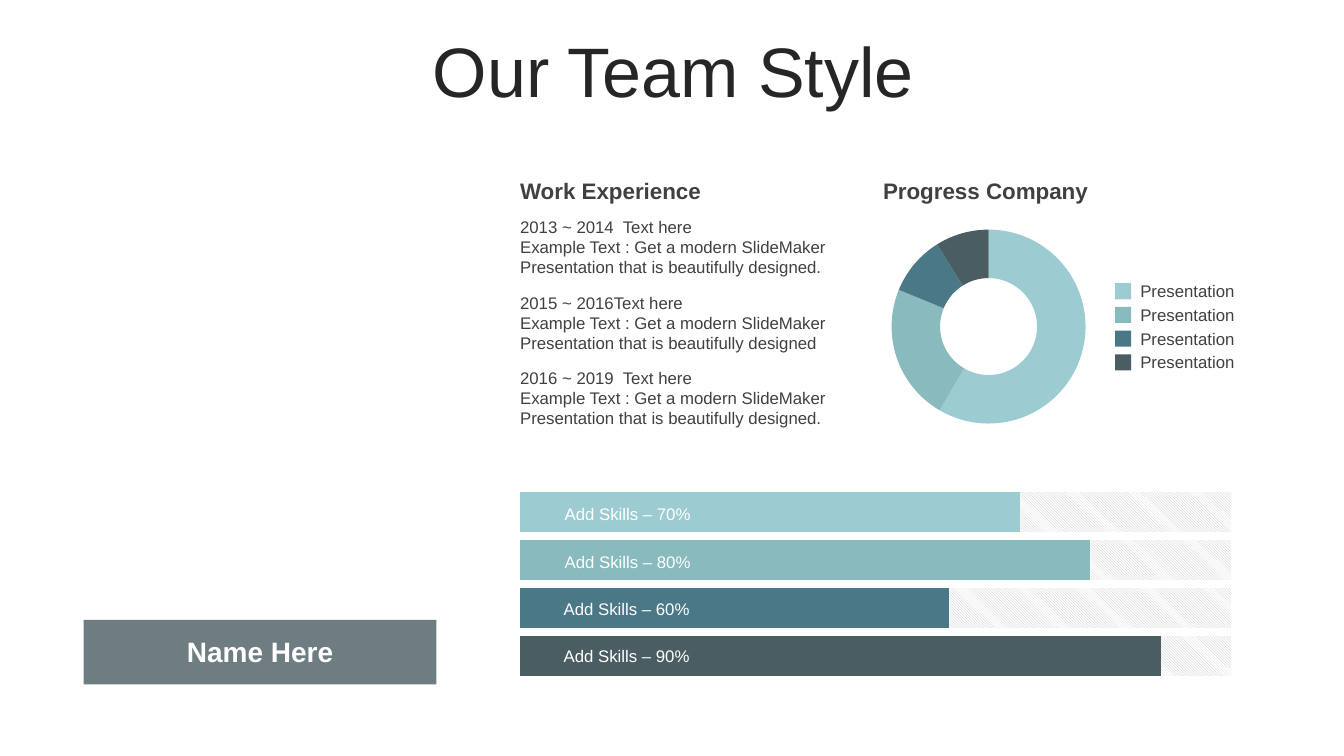
from pptx import Presentation
from pptx import util as u
from pptx.chart import data as chart_data
from pptx.dml.color import RGBColor
from pptx.enum import chart, dml, shapes, text
from pptx.oxml import parse_xml
from pptx.oxml.ns import nsdecls, qn

AQUA = RGBColor(0x9C, 0xCC, 0xD2)
SAGE = RGBColor(0x88, 0xBA, 0xBE)
TEAL = RGBColor(0x4A, 0x78, 0x86)
SLATE = RGBColor(0x4A, 0x5D, 0x62)
INK = RGBColor(0x26, 0x26, 0x26)
GRAY = RGBColor(0x40, 0x40, 0x40)
SILVER = RGBColor(0xBF, 0xBF, 0xBF)
WHITE = RGBColor(0xFF, 0xFF, 0xFF)
PALETTE = [AQUA, SAGE, TEAL, SLATE]
CATEGORIES = ["1", "2", "3", "4"]


class TeamPage:
    """Draws the elements of a team page in one shared style."""

    font = "Arial"

    def __init__(self, deck):
        self.page = deck.slides.add_slide(deck.slide_layouts[6])

    def label(self, at, lines, size=12, color=GRAY, bold=False, align=None,
              anchor=text.MSO_ANCHOR.TOP, inset=(0.1, 0.05), spacing=None, grow=False):
        frame = self.page.shapes.add_textbox(*map(u.Inches, at)).text_frame
        frame.word_wrap = True
        frame.vertical_anchor = anchor
        frame.margin_left = frame.margin_right = u.Inches(inset[0])
        frame.margin_top = frame.margin_bottom = u.Inches(inset[1])
        if grow:
            frame.auto_size = text.MSO_AUTO_SIZE.SHAPE_TO_FIT_TEXT
        frame.text = "\n".join(lines)
        for para in frame.paragraphs:
            para.alignment = align
            para.line_spacing = spacing
            para.font.name = self.font
            para.font.size = u.Pt(size)
            para.font.bold = bold
            para.font.color.rgb = color

    def block(self, at, color, opacity=100):
        box = self.page.shapes.add_shape(shapes.MSO_SHAPE.RECTANGLE, *map(u.Inches, at))
        box.shadow.inherit = False
        box.fill.solid()
        box.fill.fore_color.rgb = color
        box.line.fill.background()
        if opacity < 100:
            shade = box.fill._xPr.find(qn("a:solidFill"))[0]
            shade.append(parse_xml(f'<a:alpha {nsdecls("a")} val="{opacity * 1000}"/>'))

    def chart(self, at, kind, series, colors, size):
        table = chart_data.CategoryChartData()
        table.categories = CATEGORIES
        for name, values in series.items():
            table.add_series(name, values)
        graph = self.page.shapes.add_chart(kind, *map(u.Inches, at), table).chart
        graph.has_legend = False
        graph.has_title = False
        graph.font.name = self.font
        graph.font.size = u.Pt(size)
        plot = graph.plots[0]
        plot.vary_by_categories = False
        plot.has_data_labels = False
        for index, color in enumerate(colors):
            fill = plot.series[0].points[index].format.fill
            fill.solid()
            fill.fore_color.rgb = color
        return graph

    def doughnut(self, at, values):
        self.chart(at, chart.XL_CHART_TYPE.DOUGHNUT, {"Series 1": values}, PALETTE, 18)

    def skill_bars(self, at, done, rest, axis_max, layout):
        graph = self.chart(at, chart.XL_CHART_TYPE.BAR_STACKED,
                           {"Series 1": done, "Series 2": rest}, PALETTE[::-1], 12)
        plot = graph.plots[0]
        plot.gap_width = 20
        plot.overlap = 100
        hatch = plot.series[1].format.fill
        hatch.patterned()
        hatch.pattern = dml.MSO_PATTERN.LIGHT_DOWNWARD_DIAGONAL
        hatch.fore_color.rgb = SILVER
        hatch.back_color.rgb = WHITE
        graph.value_axis.minimum_scale = 0
        graph.value_axis.maximum_scale = axis_max
        graph.value_axis.has_major_gridlines = False
        graph.value_axis.visible = graph.category_axis.visible = False
        sizes = "".join(f'<c:{key} val="{value}"/>' for key, value in zip("xywh", layout))
        area = graph._chartSpace.chart.plotArea
        for old in area.findall(qn("c:layout")):
            area.remove(old)
        area.insert(0, parse_xml(
            f'<c:layout {nsdecls("c")}><c:manualLayout><c:layoutTarget val="inner"/>'
            f'<c:xMode val="edge"/><c:yMode val="edge"/>{sizes}</c:manualLayout></c:layout>'))


def main():
    deck = Presentation()
    deck.slide_width, deck.slide_height = u.Inches(13.33), u.Inches(7.5)
    team = TeamPage(deck)
    center, middle = text.PP_ALIGN.CENTER, text.MSO_ANCHOR.MIDDLE

    team.skill_bars((4.81, 4.58, 8.8, 2.19), (100, 67, 89, 78), (11, 44, 22, 33),
                    133, (0.04, 0.12, 0.96, 0.87))
    team.label((0.35, 0.37, 12.66, 0.79), ["Our Team Style"], 50, INK,
               align=center, anchor=middle, spacing=0.8)
    for row, percent in enumerate((70, 80, 60, 90)):
        team.label((5.6 - 0.01 * (row // 2), 5 + 0.47 * row, 2.23, 0.2),
                   [f"Add Skills – {percent}%"], color=WHITE, inset=(0, 0), grow=True)

    team.doughnut((8.59, 2.14, 2.43, 2.2), (59, 23, 10, 9))
    for row, color in enumerate(PALETTE):
        drop = 0.235 * row
        team.block((11.06, 2.81 + drop, 0.16, 0.16), color)
        team.label((11.31, 2.74 + drop, 1.14, 0.3), ["Presentation"],
                   inset=(0, 0.05), grow=True)

    team.label((8.66, 1.74, 2.63, 0.31), ["Progress Company"], 16, bold=True, spacing=0.9)
    team.label((5.06, 1.74, 2.76, 0.31), ["Work Experience"], 16, bold=True, anchor=middle)
    jobs = [("2013 ~ 2014  Text here", "."), ("2015 ~ 2016Text here", ""),
            ("2016 ~ 2019  Text here", ".")]
    for row, (period, stop) in enumerate(jobs):
        detail = ("Example Text : Get a modern SlideMaker "
                  f"Presentation that is beautifully designed{stop}")
        team.label((5.06, 2.1 + 0.75 * row, 3.48, 0.71), [period, detail], grow=True)

    team.block((0.83, 6.15, 3.5, 0.64), SLATE, opacity=80)
    team.label((0.83, 6.25, 3.5, 0.44), ["Name Here"], 20, WHITE, True, center, grow=True)
    deck.save("out.pptx")


if __name__ == "__main__":
    main()
